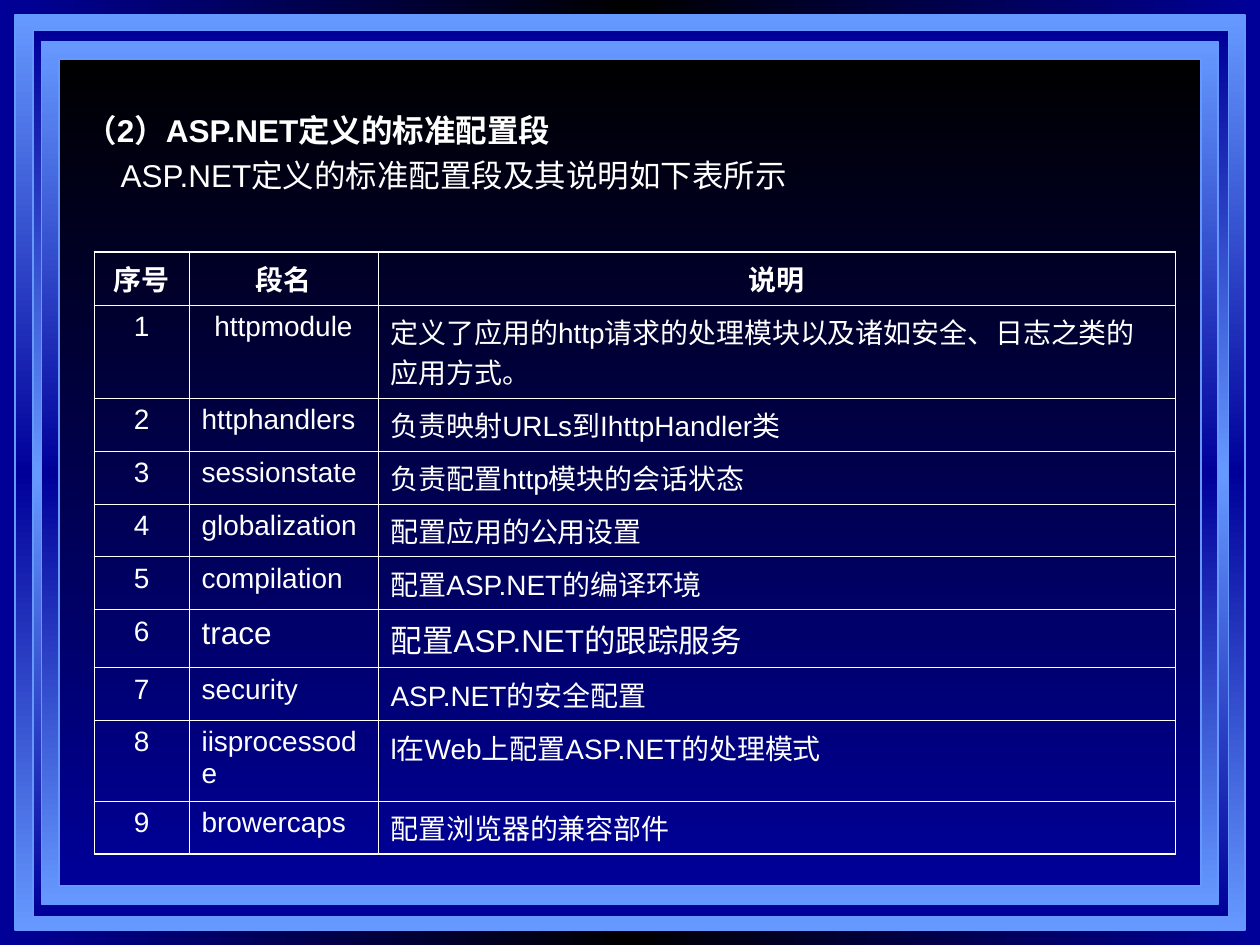
import dataclasses

import lxml.etree
import pptx
import pptx.dml.color
import pptx.enum.shapes
import pptx.enum.text
import pptx.oxml.ns
import pptx.util

Inches = pptx.util.Inches
Pt = pptx.util.Pt
qn = pptx.oxml.ns.qn
CENTER = pptx.enum.text.PP_ALIGN.CENTER
LEFT = pptx.enum.text.PP_ALIGN.LEFT


@dataclasses.dataclass(frozen=True)
class Theme:
    font: str = "Arial"
    text: str = "FFFFFF"
    grid: str = "FFFFFF"
    light: str = "6699FF"
    deep: str = "000099"
    dark: str = "000000"
    body_size: int = 18
    table_size: int = 16
    outer_border: float = 1.08
    inner_border: float = 0.45


THEME = Theme()

FRAMES = [
    ((0.12, 0.12, 9.76, 7.26), (THEME.light, THEME.deep, THEME.light)),
    ((0.26, 0.24, 9.49, 7.04), (THEME.deep, THEME.light, THEME.deep)),
    ((0.33, 0.33, 9.34, 6.85), (THEME.light, THEME.deep, THEME.light)),
    ((0.47, 0.47, 9.06, 6.56), (THEME.dark, THEME.deep)),
]
HEADINGS = ["序号", "段名", "说明"]
SECTIONS = [
    ("httpmodule", "定义了应用的http请求的处理模块以及诸如安全、日志之类的应用方式。"),
    ("httphandlers", "负责映射URLs到IhttpHandler类"),
    ("sessionstate", "负责配置http模块的会话状态"),
    ("globalization", "配置应用的公用设置"),
    ("compilation", "配置ASP.NET的编译环境"),
    ("trace", "配置ASP.NET的跟踪服务"),
    ("security", "ASP.NET的安全配置"),
    ("iisprocessode", "l在Web上配置ASP.NET的处理模式"),
    ("browercaps", "配置浏览器的兼容部件"),
]
COLUMN_WIDTHS = [0.75, 1.5, 6.33]
ROW_HEIGHT = 0.42
SPECIAL_ROW_HEIGHTS = {"httpmodule": 0.74, "trace": 0.46, "iisprocessode": 0.64}
LARGE_SECTION = "trace"
CENTERED_SECTION = "httpmodule"


def rgb(color):
    return pptx.dml.color.RGBColor.from_string(color)


def set_gradient(fill, owner, colors, angle):
    """Spread the colours evenly along the gradient of the owner element."""
    fill.gradient()
    fill.gradient_angle = angle
    stops = next(owner.iter(qn("a:gsLst")))
    for stop in list(stops):
        stops.remove(stop)
    for index, color in enumerate(colors):
        position = 100000 * index // (len(colors) - 1)
        stop = lxml.etree.SubElement(stops, qn("a:gs"), pos=str(position))
        lxml.etree.SubElement(stop, qn("a:srgbClr"), val=color)


def add_frame(slide, box, colors):
    frame = slide.shapes.add_shape(
        pptx.enum.shapes.MSO_SHAPE.RECTANGLE, *map(Inches, box))
    frame.shadow.inherit = False
    set_gradient(frame.fill, frame._element, colors, 270)
    frame.line.color.rgb = rgb(THEME.light)
    frame.line.width = Pt(1)


def format_runs(paragraph, size, bold):
    for run in paragraph.runs:
        run.font.name = THEME.font
        run.font.size = Pt(size)
        run.font.bold = bold
        run.font.color.rgb = rgb(THEME.text)


def add_introduction(slide):
    box = slide.shapes.add_textbox(
        Inches(0.58), Inches(0.83), Inches(8.92), Inches(6.08))
    frame = box.text_frame
    frame.word_wrap = True
    frame.text = "（2）ASP.NET定义的标准配置段\nASP.NET定义的标准配置段及其说明如下表所示"
    heading, sentence = frame.paragraphs
    sentence.space_before = Pt(4.5)
    for paragraph, first_line in ((heading, -0.38), (sentence, -0.1)):
        properties = paragraph._p.get_or_add_pPr()
        properties.set("marL", str(Inches(0.38)))
        properties.set("indent", str(Inches(first_line)))
        format_runs(paragraph, THEME.body_size, paragraph is heading)


def set_borders(cell, outer_sides):
    properties = cell._tc.get_or_add_tcPr()
    for index, side in enumerate("LRTB"):
        width = THEME.outer_border if side in outer_sides else THEME.inner_border
        border = lxml.etree.Element(qn(f"a:ln{side}"), w=str(Pt(width)))
        fill = lxml.etree.SubElement(border, qn("a:solidFill"))
        lxml.etree.SubElement(fill, qn("a:srgbClr"), val=THEME.grid)
        properties.insert(index, border)


def fill_cell(cell, text, size, bold, alignment):
    cell.fill.background()
    cell.text_frame.text = text
    paragraph = cell.text_frame.paragraphs[0]
    paragraph.alignment = alignment
    format_runs(paragraph, size, bold)


def add_section_table(slide):
    rows = [HEADINGS] + [
        (str(number), *section) for number, section in enumerate(SECTIONS, 1)]
    heights = [SPECIAL_ROW_HEIGHTS.get(name, ROW_HEIGHT) for _, name, _ in rows]
    table = slide.shapes.add_table(
        len(rows), len(HEADINGS), Inches(0.75), Inches(2),
        Inches(sum(COLUMN_WIDTHS)), Inches(sum(heights))).table
    table.first_row = False
    table.horz_banding = False
    for column, width in zip(table.columns, COLUMN_WIDTHS):
        column.width = Inches(width)
    for row, height in zip(table.rows, heights):
        row.height = Inches(height)

    last_row, last_column = len(rows) - 1, len(HEADINGS) - 1
    for r, texts in enumerate(rows):
        for c, text in enumerate(texts):
            cell = table.cell(r, c)
            large = texts[1] == LARGE_SECTION and c > 0
            centered = r == 0 or c == 0 or text == CENTERED_SECTION
            fill_cell(cell, text,
                      THEME.body_size if large else THEME.table_size,
                      r == 0, CENTER if centered else LEFT)
            edges = {"L": c == 0, "R": c == last_column,
                     "T": r == 0, "B": r == last_row}
            set_borders(cell, {side for side, outer in edges.items() if outer})


def main():
    presentation = pptx.Presentation()
    presentation.slide_width = Inches(10)
    presentation.slide_height = Inches(7.5)
    slide = presentation.slides.add_slide(presentation.slide_layouts[6])
    set_gradient(slide.background.fill, slide._element,
                 (THEME.deep, THEME.dark, THEME.deep), 180)
    for box, colors in FRAMES:
        add_frame(slide, box, colors)
    add_introduction(slide)
    add_section_table(slide)
    presentation.save("out.pptx")


if __name__ == "__main__":
    main()
